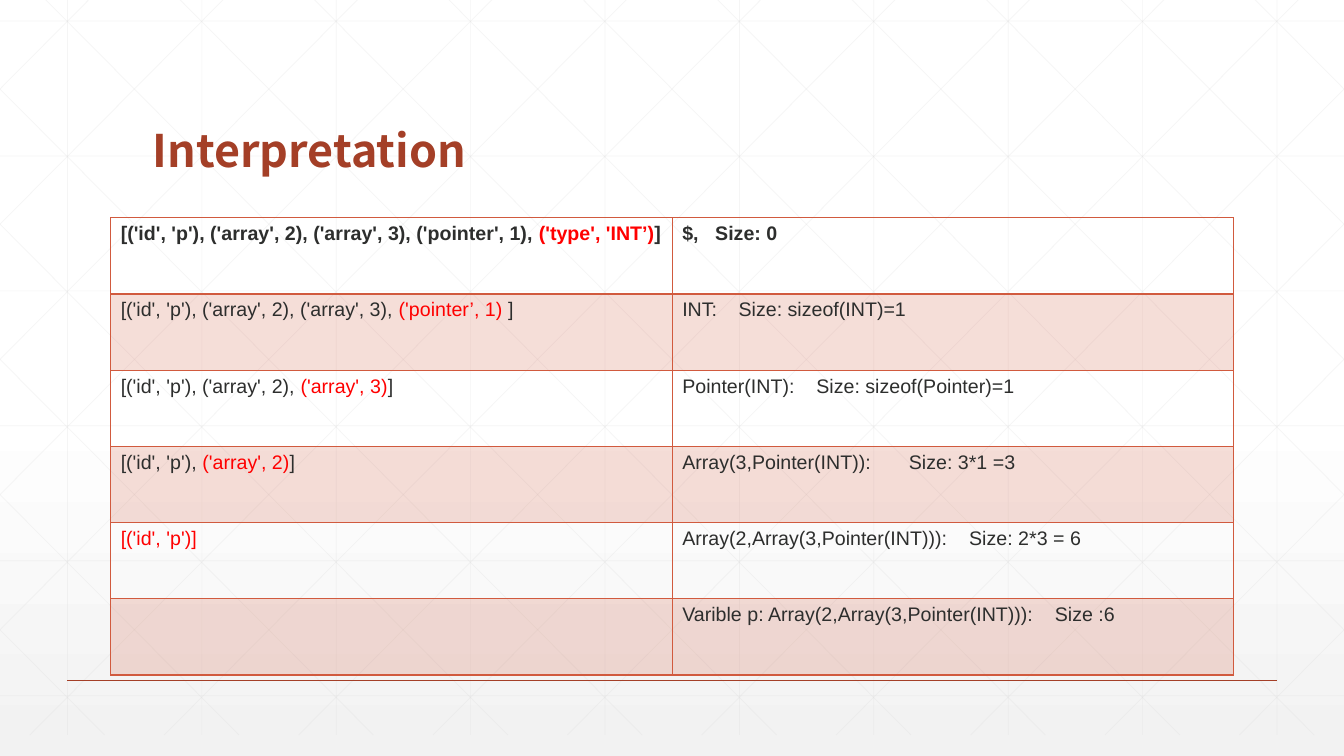
from lxml import etree
from pptx import Presentation
from pptx import util as u
from pptx.dml.color import RGBColor
from pptx.enum import shapes, text
from pptx.oxml import ns

COLORS = {"white": "FFFFFF", "shade": "F2F2F2", "grid": "D9D9D9",
          "rust": "A43F27", "border": "D15A3E", "ink": "2D2E2D", "red": "FF0000"}
W, H = 33.87, 19.05

prs = Presentation()
prs.slide_width, prs.slide_height = u.Cm(W), u.Cm(H)
s = prs.slides.add_slide(prs.slide_layouts[6])


def write(p, content, size=14, font="Arial", color="ink", bold=False):
    """Add a formatted run to a paragraph."""
    r = p.add_run()
    r.text = content
    r.font.size, r.font.name, r.font.bold = u.Pt(size), font, bold
    r.font.color.rgb = RGBColor.from_string(COLORS[color])


def line(x1, y1, x2, y2, color="grid", width=0.5, alpha=25):
    """Draw a straight line, in centimetres, with opacity in percent."""
    c = s.shapes.add_connector(shapes.MSO_CONNECTOR.STRAIGHT,
                               u.Cm(x1), u.Cm(y1), u.Cm(x2), u.Cm(y2))
    c.line.width = u.Pt(width)
    c.line.color.rgb = RGBColor.from_string(COLORS[color])
    sp_pr = c._element.spPr
    etree.SubElement(sp_pr.find(".//" + ns.qn("a:srgbClr")), ns.qn("a:alpha"),
                     val=str(alpha * 1000))
    etree.SubElement(sp_pr, ns.qn("a:effectLst"))


# Background: white, shading to grey in the lower half
fill = s.background.fill
fill.gradient()
fill.gradient_angle = 270
for stop, (position, color) in zip(fill.gradient_stops, [(0.53, "white"), (1, "shade")]):
    stop.position = position
    stop.color.rgb = RGBColor.from_string(COLORS[color])

# Grid: verticals, horizontals, then mirrored diagonals clipped to the slide
step, top, bottom = W / 10, -0.53, 18.52
for i in range(10):
    x = 1.7 + i * step
    line(x, top, x, bottom)
for i in range(6):
    y = 0.53 + i * 3.4
    line(0, y, W, y)
run = 18.94
slope = (bottom - top) / run
for k in range(-5, 10):
    start = 0.63 + k * step
    x1, x2 = max(start, 0), min(start + run, W)
    y1, y2 = (top + (x - start) * slope for x in (x1, x2))
    line(x1, y1, x2, y2)
    line(W - x1, y1, W - x2, y2)
line(1.7, 17.15, W - 1.7, 17.15, color="rust", width=1, alpha=100)

# Title
tf = s.shapes.add_textbox(u.Cm(3.6), u.Cm(1.4), u.Cm(26.67), u.Cm(3.18)).text_frame
tf.word_wrap = True
tf.vertical_anchor = text.MSO_ANCHOR.BOTTOM
p = tf.paragraphs[0]
p.line_spacing = 0.9
write(p, "Interpretation", size=32, font="Noto Sans CJK SC", color="rust", bold=True)

# Each row: stack before, popped item, stack after, type, size, tab stop of the size
rows = [
    ("[('id', 'p'), ('array', 2), ('array', 3), ('pointer', 1), ", "('type', 'INT’)", "]",
     "$,", "Size: 0", 0.83),
    ("[('id', 'p'), ('array', 2), ('array', 3), ", "('pointer’, 1) ", "]",
     "INT:", "Size: sizeof(INT)=1", 1.42),
    ("[('id', 'p'), ('array', 2), ", "('array', 3)", "]",
     "Pointer(INT):", "Size: sizeof(Pointer)=1", 3.38),
    ("[('id', 'p'), ", "('array', 2)", "]",
     "Array(3,Pointer(INT)):", "Size: 3*1 =3", 5.71),
    ("", "[('id', 'p')]", "",
     "Array(2,Array(3,Pointer(INT))):", "Size: 2*3 = 6", 7.23),
    ("", "", "",
     "Varible p: Array(2,Array(3,Pointer(INT))):", "Size :6", 9.39),
]
tbl = s.shapes.add_table(len(rows), 2, u.Cm(2.79), u.Cm(5.49),
                         u.Cm(28.3), u.Cm(11.52)).table
for i, (before, popped, after, kind, size, tab) in enumerate(rows):
    tbl.rows[i].height = u.Cm(1.92)
    stack, result = (c.text_frame.paragraphs[0] for c in tbl.rows[i].cells)
    for content, color in [(before, "ink"), (popped, "red"), (after, "ink")]:
        if content:
            write(stack, content, color=color, bold=i == 0)
    write(result, f"{kind}\t{size}", bold=i == 0)
    tabs = etree.SubElement(result._p.get_or_add_pPr(), ns.qn("a:tabLst"))
    etree.SubElement(tabs, ns.qn("a:tab"), pos=str(u.Cm(tab)), algn="l")

    for cell in tbl.rows[i].cells:
        tc_pr = cell._tc.get_or_add_tcPr()
        if i % 2:
            cell.fill.solid()
            cell.fill.fore_color.rgb = RGBColor.from_string(COLORS["border"])
            etree.SubElement(tc_pr.find(".//" + ns.qn("a:srgbClr")), ns.qn("a:alpha"),
                             val="20000")
        else:
            cell.fill.background()
        for n, side in enumerate("LRTB"):
            under_header = (i, side) in [(0, "B"), (1, "T")]
            ln = etree.Element(ns.qn("a:ln" + side), w=str(u.Pt(2 if under_header else 1)))
            solid = etree.SubElement(ln, ns.qn("a:solidFill"))
            etree.SubElement(solid, ns.qn("a:srgbClr"), val=COLORS["border"])
            tc_pr.insert(n, ln)

prs.save("out.pptx")
